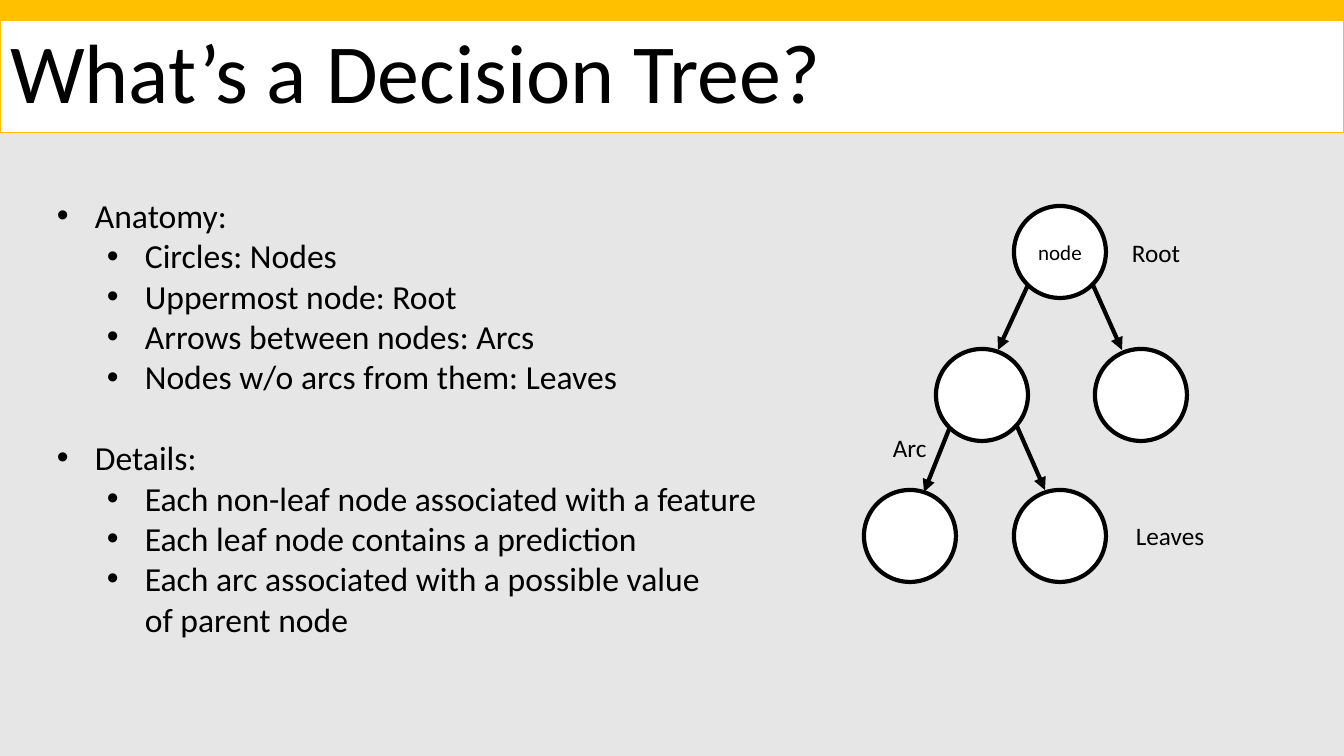
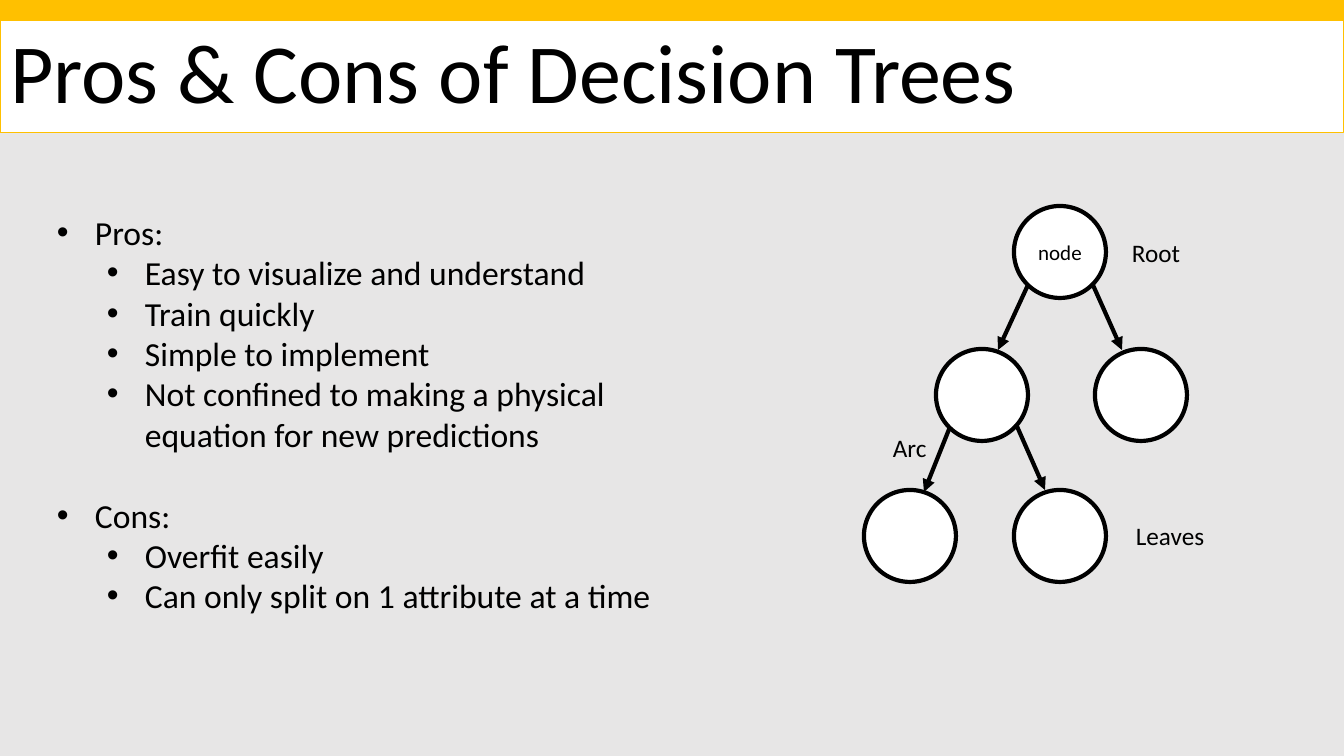
"""Build two slides about decision trees."""
from lxml import etree
from pptx import Presentation
from pptx import util as u
from pptx.dml.color import RGBColor
from pptx.enum import shapes, text
from pptx.oxml.ns import qn

PX = 12192000 / 1344
FONT = "Calibri"
BLACK, WHITE, GOLD, GREY = "000000", "FFFFFF", "FFC000", "E7E6E6"

TITLE_FRAME = {
    "vertical_anchor": text.MSO_ANCHOR.MIDDLE,
    "auto_size": text.MSO_AUTO_SIZE.NONE,
    "word_wrap": True,
}
NODE = 92
NODES = [(1014, 206, "node"), (936, 349, ""), (1095, 349, ""), (864, 490, ""), (1014, 490, "")]
ARCS = [
    (1028, 285, 998, 350),
    (1093, 285, 1122, 350),
    (950, 427, 924, 492),
    (1016, 424, 1045, 490),
]
LABELS = [(883, 427, 54, "Arc"), (1126, 515, 90, "Leaves"), (1122, 232, 69, "Root")]
SLIDES = [
    {
        "title": "What’s a Decision Tree?",
        "box": (47, 190, 786, 458),
        "groups": {
            "Anatomy:": [
                "Circles: Nodes",
                "Uppermost node: Root",
                "Arrows between nodes: Arcs",
                "Nodes w/o arcs from them: Leaves",
            ],
            "Details:": [
                "Each non-leaf node associated with a feature",
                "Each leaf node contains a prediction",
                "Each arc associated with a possible value \nof parent node",
            ],
        },
    },
    {
        "title": "Pros & Cons of Decision Trees",
        "box": (47, 207, 685, 417),
        "groups": {
            "Pros:": [
                "Easy to visualize and understand",
                "Train quickly",
                "Simple to implement",
                "Not confined to making a physical equation for new predictions",
            ],
            "Cons:": ["Overfit easily", "Can only split on 1 attribute at a time"],
        },
    },
]


def px(*lengths):
    return [round(length * PX) for length in lengths]


def write(paragraph, words, size, align=text.PP_ALIGN.LEFT):
    paragraph.text = words
    paragraph.alignment = align
    for run in paragraph.runs:
        for name, value in {"name": FONT, "size": u.Pt(size)}.items():
            setattr(run.font, name, value)
        run.font.color.rgb = RGBColor.from_string(BLACK)


presentation = Presentation()
presentation.slide_width, presentation.slide_height = px(1344, 756)
background = presentation.slide_master.background.fill
background.solid()
background.fore_color.rgb = RGBColor.from_string(GREY)

for content in SLIDES:
    slide = presentation.slides.add_slide(presentation.slide_layouts[5])
    title = slide.shapes.title
    title.left, title.top, title.width, title.height = px(0, 20, 1344, 113)
    for name, value in TITLE_FRAME.items():
        setattr(title.text_frame, name, value)
    heading = title.text_frame.paragraphs[0]
    write(heading, content["title"], 60)
    heading.line_spacing = 0.9

    band = slide.shapes.add_shape(shapes.MSO_SHAPE.RECTANGLE, *px(0, 0, 1344, 39))
    title.element.addprevious(band.element)
    outlined = [(band, GOLD, GOLD, 1), (title, WHITE, GOLD, 0.75)]

    body = slide.shapes.add_textbox(*px(*content["box"])).text_frame
    body.word_wrap = True
    rows = [
        (level, words)
        for group, points in content["groups"].items()
        for level, words in [(0, group)] + [(1, point) for point in points]
    ]
    for index, (level, words) in enumerate(rows):
        paragraph = body.add_paragraph() if index else body.paragraphs[0]
        write(paragraph, words, 24)
        paragraph.level = level
        if index and level == 0:
            paragraph.space_before = u.Pt(29)
        properties = paragraph._p.get_or_add_pPr()
        margin, indent = px((38, 88)[level], -38)
        properties.set("marL", str(margin))
        properties.set("indent", str(indent))
        etree.SubElement(properties, qn("a:buFont"), typeface="Arial")
        etree.SubElement(properties, qn("a:buChar"), char="•")

    for left, top, words in NODES:
        node = slide.shapes.add_shape(shapes.MSO_SHAPE.OVAL, *px(left, top, NODE, NODE))
        outlined.append((node, WHITE, BLACK, 3))
        if words:
            node.text_frame.vertical_anchor = text.MSO_ANCHOR.MIDDLE
            write(node.text_frame.paragraphs[0], words, 15, text.PP_ALIGN.CENTER)

    for shape, fill, line, width in outlined:
        shape.shadow.inherit = False
        shape.fill.solid()
        shape.fill.fore_color.rgb = RGBColor.from_string(fill)
        shape.line.color.rgb = RGBColor.from_string(line)
        shape.line.width = u.Pt(width)

    for ends in ARCS:
        arc = slide.shapes.add_connector(shapes.MSO_CONNECTOR.STRAIGHT, *px(*ends))
        arc.line.color.rgb = RGBColor.from_string(BLACK)
        arc.line.width = u.Pt(3)
        outline = arc.element.spPr.find(qn("a:ln"))
        etree.SubElement(outline, qn("a:tailEnd"), type="triangle")
        etree.SubElement(arc.element.spPr, qn("a:effectLst"))

    for left, top, width, words in LABELS:
        label = slide.shapes.add_textbox(*px(left, top, width, 40))
        write(label.text_frame.paragraphs[0], words, 18)

presentation.save("out.pptx")
